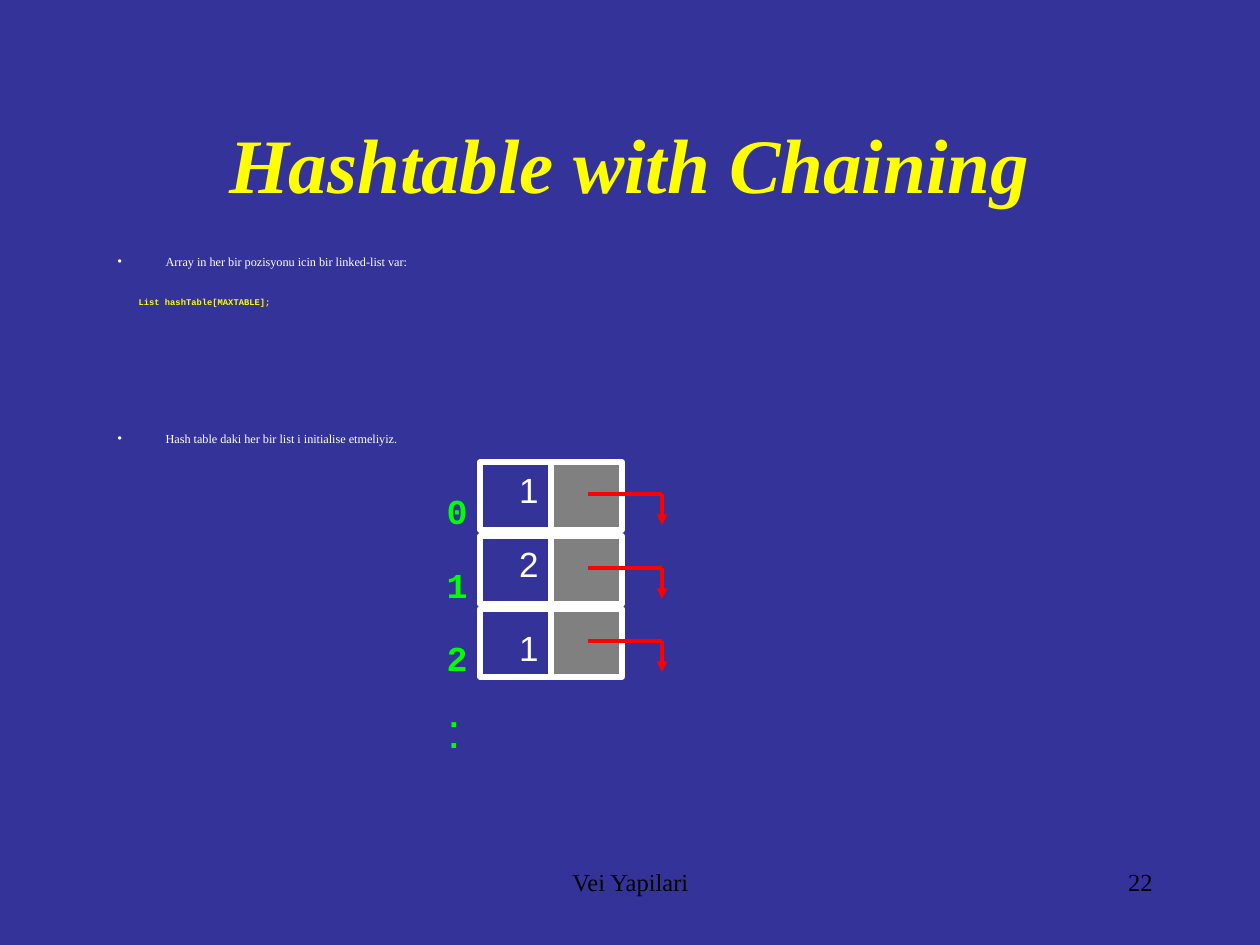
from dataclasses import dataclass

from lxml import etree
from pptx import Presentation
from pptx.dml.color import RGBColor
from pptx.enum.shapes import MSO_CONNECTOR, MSO_SHAPE
from pptx.enum.text import MSO_ANCHOR, MSO_AUTO_SIZE, PP_ALIGN
from pptx.oxml.ns import qn
from pptx.util import Pt

RECTANGLE = MSO_SHAPE.RECTANGLE
STRAIGHT = MSO_CONNECTOR.STRAIGHT
MIDDLE, TOP = MSO_ANCHOR.MIDDLE, MSO_ANCHOR.TOP
NO_AUTOFIT = MSO_AUTO_SIZE.NONE
LEFT, CENTER, RIGHT = PP_ALIGN.LEFT, PP_ALIGN.CENTER, PP_ALIGN.RIGHT

EMU_PER_PX = 914400 / 126
COLORS = {
    "background": "333399",
    "heading": "FFFF00",
    "text": "FFFFFF",
    "index": "00FF00",
    "pointer": "808080",
    "arrow": "FF0000",
    "footer": "000000",
}
SERIF, MONO, SANS = "Times New Roman", "Courier New", "Arial"

TABLE_TOP, ROW_PITCH = 462, 73.5
CELL_WIDTH, CELL_HEIGHT = 71, 68
COUNT_LEFT, POINTER_LEFT = 480, 551
ARROW_START, ARROW_END = 588, 662


@dataclass(frozen=True)
class Style:
    """Font settings of a paragraph."""
    font: str
    size: float
    color: str
    bold: bool = False
    italic: bool = False


@dataclass(frozen=True)
class BodyLine:
    """A paragraph of the body, with its indent in pixels."""
    text: str
    style: Style
    space_before: float
    indent: int
    bulleted: bool


@dataclass(frozen=True)
class Bucket:
    """A row of the hash table."""
    index: str
    count: str
    count_drop: int = 0


TITLE = Style(SERIF, 44, "heading", bold=True, italic=True)
POINT = Style(SERIF, 7, "text")
CODE = Style(MONO, 5, "heading", bold=True)
INDEX = Style(MONO, 20, "index", bold=True)
COUNT = Style(SANS, 20, "text")
ELLIPSIS = Style(SANS, 28, "index")
FOOTER = Style(SERIF, 14, "footer")

BODY_LINES = [
    BodyLine("Array in her bir pozisyonu icin bir linked-list var:", POINT, 7, 48, True),
    BodyLine("List hashTable[MAXTABLE];", CODE, 17.6, 21, False),
    BodyLine("Hash table daki her bir list i initialise etmeliyiz.", POINT, 73.4, 48, True),
]
BUCKETS = [Bucket("0", "1"), Bucket("1", "2"), Bucket("2", "1", 11)]


def px(length: float) -> int:
    """Turn pixels into EMU."""
    return round(length * EMU_PER_PX)


def rgb(name: str) -> RGBColor:
    """Look up a colour by its role."""
    return RGBColor.from_string(COLORS[name])


def place(shape, left: int, top: int, width: int, height: int) -> None:
    """Move and size a shape."""
    shape.left, shape.top, shape.width, shape.height = map(px, (left, top, width, height))


def write(paragraph, text: str, style: Style, align) -> None:
    """Fill and format a paragraph."""
    paragraph.text = text
    paragraph.alignment = align
    font = paragraph.font
    font.name, font.size = style.font, Pt(style.size)
    font.bold, font.italic = style.bold, style.italic
    font.color.rgb = rgb(style.color)


def add_label(slide, text: str, style: Style, box: tuple, align=RIGHT) -> None:
    """Add a one-line text box."""
    frame = slide.shapes.add_textbox(*map(px, box)).text_frame
    frame.word_wrap = True
    write(frame.paragraphs[0], text, style, align)


def add_cell(slide, left: int, top: int, fill: str = "") -> None:
    """Add an outlined table cell, filled if a colour is given."""
    cell = slide.shapes.add_shape(RECTANGLE, *map(px, (left, top, CELL_WIDTH, CELL_HEIGHT)))
    cell.shadow.inherit = False
    if fill:
        cell.fill.solid()
        cell.fill.fore_color.rgb = rgb(fill)
    else:
        cell.fill.background()
    cell.line.color.rgb = rgb("text")
    cell.line.width = Pt(3)


def add_line(slide, start: tuple, end: tuple, arrow: bool = False) -> None:
    """Add a red line, with an arrowhead at its end if asked."""
    line = slide.shapes.add_connector(STRAIGHT, *map(px, start + end))
    line.line.color.rgb = rgb("arrow")
    line.line.width = Pt(2)
    properties = line._element.spPr
    if arrow:
        etree.SubElement(properties.find(qn("a:ln")), qn("a:tailEnd"), type="triangle")
    etree.SubElement(properties, qn("a:effectLst"))


def fill_body(body) -> None:
    """Write the body lines into the body placeholder."""
    place(body, 105, 252, 1071, 305)
    frame = body.text_frame
    frame.auto_size = NO_AUTOFIT
    frame.vertical_anchor = TOP
    for number, line in enumerate(BODY_LINES):
        paragraph = frame.add_paragraph() if number else frame.paragraphs[0]
        properties = paragraph._p.get_or_add_pPr()
        properties.set("marL", str(px(line.indent)))
        properties.set("indent", str(-px(line.indent) if line.bulleted else 0))
        if line.bulleted:
            etree.SubElement(properties, qn("a:buChar"), char="•")
        else:
            etree.SubElement(properties, qn("a:buNone"))
        paragraph.line_spacing = 0.7
        paragraph.space_before = Pt(line.space_before)
        write(paragraph, line.text, line.style, LEFT)


def add_bucket(slide, bucket: Bucket, top: int) -> None:
    """Draw a table row with its index, count and pointer arrow."""
    add_label(slide, bucket.index, INDEX, (368, top + 21, 112, 55))
    add_cell(slide, COUNT_LEFT, top)
    add_label(slide, bucket.count, COUNT, (COUNT_LEFT, top + bucket.count_drop, CELL_WIDTH, 55))
    add_cell(slide, POINTER_LEFT, top, "pointer")
    corner = (ARROW_END, top + 32)
    add_line(slide, corner, (ARROW_END, top + 63), arrow=True)
    add_line(slide, corner, (ARROW_START, top + 32))


def main() -> None:
    """Build and save the slide."""
    presentation = Presentation()
    presentation.slide_width, presentation.slide_height = px(1260), px(945)
    slide = presentation.slides.add_slide(presentation.slide_layouts[1])
    slide.background.fill.solid()
    slide.background.fill.fore_color.rgb = rgb("background")

    title = slide.shapes.title
    place(title, 94, 84, 1071, 158)
    title.text_frame.auto_size = NO_AUTOFIT
    title.text_frame.vertical_anchor = MIDDLE
    write(title.text_frame.paragraphs[0], "Hashtable with Chaining", TITLE, CENTER)
    fill_body(slide.placeholders[1])

    for row, bucket in enumerate(BUCKETS):
        add_bucket(slide, bucket, TABLE_TOP + round(row * ROW_PITCH))
    add_label(slide, ":", ELLIPSIS, (368, 693, 105, 72))

    add_label(slide, "Vei Yapilari", FOOTER, (431, 861, 399, 63), CENTER)
    add_label(slide, "22", FOOTER, (903, 861, 262, 63))
    presentation.save("out.pptx")


main()
